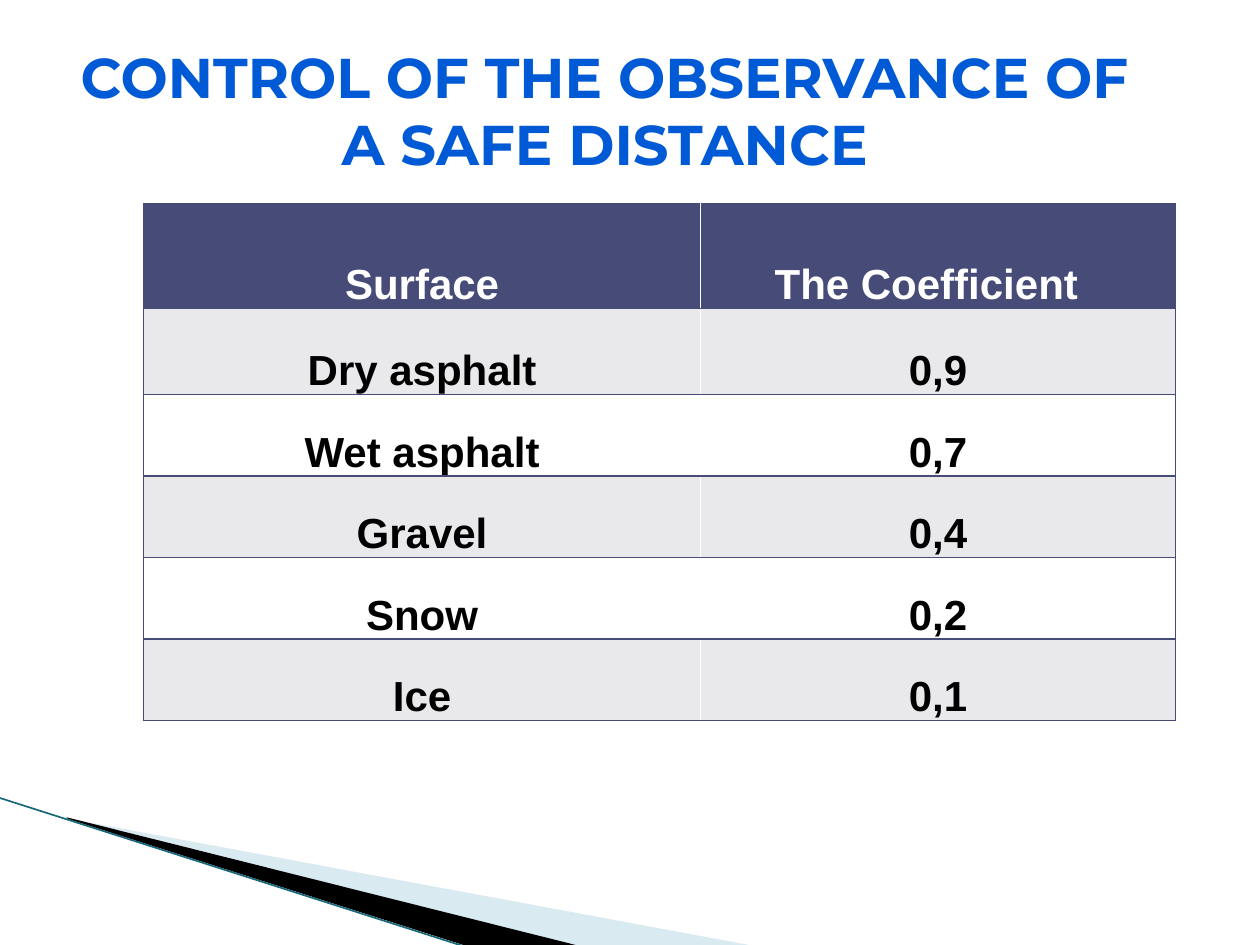
import pptx
import pptx.util
import pptx.dml.color
import pptx.enum.shapes
import pptx.enum.text
import pptx.oxml
import pptx.oxml.ns
from lxml import etree

Pt = pptx.util.Pt
MIDDLE = pptx.enum.text.MSO_ANCHOR.MIDDLE
BOTTOM = pptx.enum.text.MSO_ANCHOR.BOTTOM
CENTER = pptx.enum.text.PP_ALIGN.CENTER

# Content
HEADING = "CONTROL OF THE OBSERVANCE OF A SAFE DISTANCE"
COEFFICIENTS = [
    ("Surface", "The Coefficient"),
    ("Dry asphalt", "0,9"),
    ("Wet asphalt", "0,7"),
    ("Gravel", "0,4"),
    ("Snow", "0,2"),
    ("Ice", "0,1"),
]
COLORS = {
    "heading": "005AD6", "header": "474B78", "band": "E9E9EC", "plain": "FFFFFF",
    "header_text": "FFFFFF", "body_text": "000000",
    "pale_wedge": "A0CBDC", "dark_wedge": "000000", "edge": "17697A",
}
COLUMN_WIDTHS = (318.2, 271.4)
ROW_HEIGHTS = (59.8, 49) + (46.6,) * 4
# colour, opacity in percent, corners
WEDGES = [
    ("pale_wedge", 40, [(39.6, 468.5), (428.4, 540.5), (328.3, 540.5), (39.6, 468)]),
    ("dark_wedge", 100, [(38.2, 467.3), (329, 540.5), (267.8, 541.2), (38.9, 468)]),
]


def rgb(name):
    return pptx.dml.color.RGBColor.from_string(COLORS[name])


def add_border(cell, side):
    """Draw one side of a cell; borders come before the fill in the cell XML."""
    properties = cell._tc.get_or_add_tcPr()
    border = pptx.oxml.parse_xml(
        f'<a:{side} {pptx.oxml.ns.nsdecls("a")} w="12700"><a:solidFill>'
        f'<a:srgbClr val="{COLORS["header"]}"/></a:solidFill></a:{side}>')
    borders = [child for child in properties if child.tag.split("}")[1].startswith("ln")]
    properties.insert(len(borders), border)


presentation = pptx.Presentation()
presentation.slide_width, presentation.slide_height = Pt(720), Pt(540)
slide = presentation.slides.add_slide(presentation.slide_layouts[5])

# Corner wedges
for color, opacity, corners in WEDGES:
    builder = slide.shapes.build_freeform(*corners[0], scale=Pt(1))
    builder.add_line_segments(corners[1:], close=True)
    wedge = builder.convert_to_shape()
    wedge.shadow.inherit = False
    wedge.line.fill.background()
    wedge.fill.solid()
    wedge.fill.fore_color.rgb = rgb(color)
    if opacity < 100:
        tint = wedge._element.spPr.find(".//" + pptx.oxml.ns.qn("a:srgbClr"))
        etree.SubElement(tint, pptx.oxml.ns.qn("a:alpha"), val=str(opacity * 1000))

edge = slide.shapes.add_connector(
    pptx.enum.shapes.MSO_CONNECTOR.STRAIGHT, Pt(-0.7), Pt(455.8), Pt(267.1), Pt(541.4))
edge.line.color.rgb = rgb("edge")
edge.line.width = Pt(0.95)
etree.SubElement(edge._element.spPr, pptx.oxml.ns.qn("a:effectLst"))

# Heading
heading = slide.shapes.title
heading.left, heading.top, heading.width, heading.height = Pt(31), Pt(37.4), Pt(629.3), Pt(90)
heading.text = HEADING
frame = heading.text_frame
frame.word_wrap = True
frame.auto_size = pptx.enum.text.MSO_AUTO_SIZE.NONE
frame.vertical_anchor = MIDDLE
frame.margin_bottom = Pt(43)
line = frame.paragraphs[0]
line.alignment = CENTER
line.font.name, line.font.size, line.font.bold = "Montserrat", Pt(32), True
line.font.color.rgb = rgb("heading")

# Coefficient table
table = slide.shapes.add_table(
    len(ROW_HEIGHTS), len(COLUMN_WIDTHS), Pt(82.1), Pt(116.6),
    Pt(sum(COLUMN_WIDTHS)), Pt(sum(ROW_HEIGHTS))).table
for column, width in zip(table.columns, COLUMN_WIDTHS):
    column.width = Pt(width)
for row, height in zip(table.rows, ROW_HEIGHTS):
    row.height = Pt(height)

for r, values in enumerate(COEFFICIENTS):
    fill = "header" if r == 0 else "band" if r % 2 else "plain"
    for c, value in enumerate(values):
        cell = table.cell(r, c)
        cell.text = value
        cell.vertical_anchor = BOTTOM
        cell.margin_left = cell.margin_right = Pt(5)
        cell.margin_top = cell.margin_bottom = 0
        cell.fill.solid()
        cell.fill.fore_color.rgb = rgb(fill)
        entry = cell.text_frame.paragraphs[0]
        entry.alignment = CENTER
        entry.font.name, entry.font.size, entry.font.bold = "Arial", Pt(24), True
        entry.font.color.rgb = rgb("body_text" if r else "header_text")
        for side in ("lnR" if c else "lnL", "lnT", "lnB"):
            add_border(cell, side)
# The second header sits slightly left of its column's centre
table.cell(0, 1).margin_right = Pt(18.3)

presentation.save("out.pptx")
